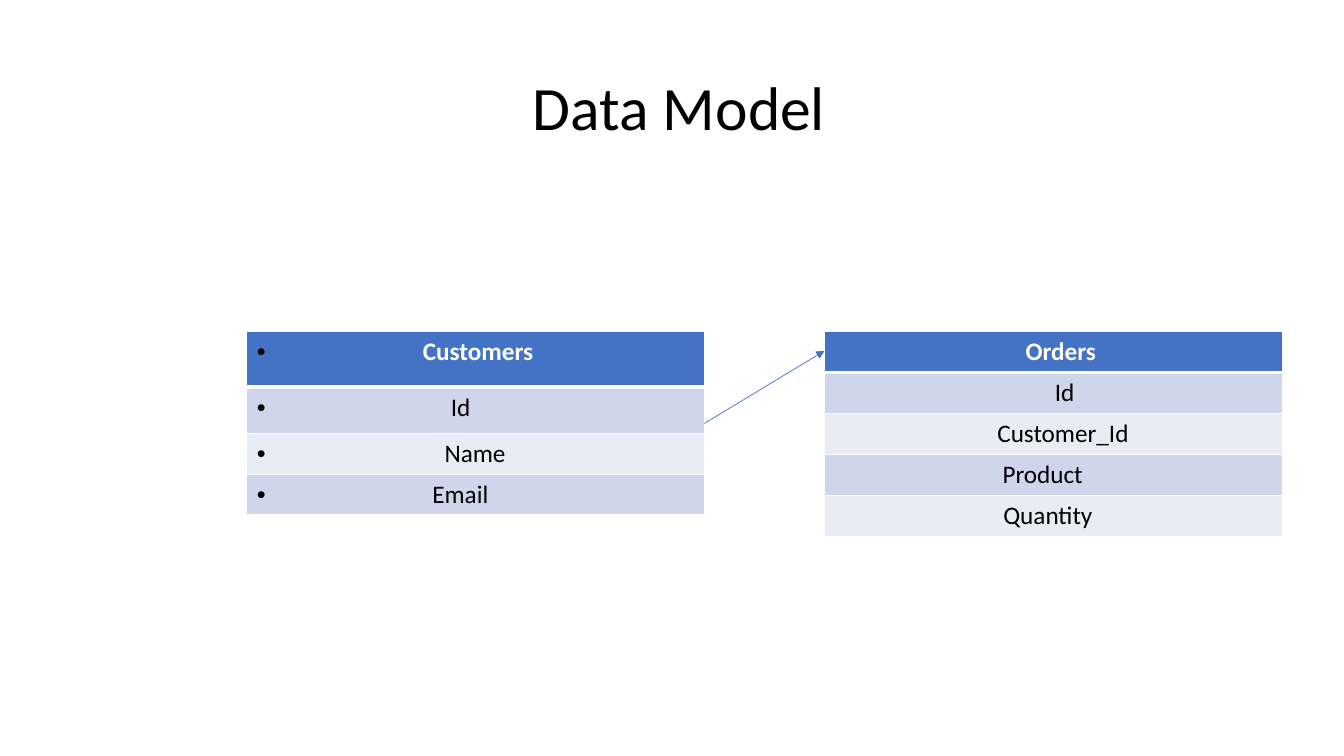
from dataclasses import dataclass

from lxml import etree
from pptx import Presentation
from pptx import util as u
from pptx.dml.color import RGBColor
from pptx.enum import shapes, text
from pptx.oxml.ns import qn

# Each entity: left edge, bullet, then (name, text indent, row height) in cm
TITLE = "Data Model"
ROW = 1.03
ENTITIES = [
    {"left": 6.22, "bullet": "•", "rows": [
        ("Customers", 4.18, 1.4), ("Id", 4.89, 1.16),
        ("Name", 4.73, ROW), ("Email", 4.42, ROW)]},
    {"left": 20.78, "bullet": None, "rows": [
        ("Orders", 4.81, ROW), ("Id", 5.55, ROW), ("Customer_Id", 4.1, ROW),
        ("Product", 4.23, ROW), ("Quantity", 4.25, ROW)]},
]
TABLE_TOP, TABLE_WIDTH = 8.36, 11.53
LINK_START, LINK_END = 10.67, 8.84


@dataclass(frozen=True)
class Theme:
    """Colours and type sizes of the slide."""
    font: str = "Calibri"
    title_size: int = 44
    cell_size: int = 18
    ink: str = "000000"
    paper: str = "FFFFFF"
    accent: str = "4472C4"
    bands: tuple = ("CFD5EA", "E9EBF5")


THEME = Theme()


def add_node(parent, tag, **attributes):
    """Append a DrawingML element and return it."""
    return etree.SubElement(parent, qn(tag), attributes)


def write(frame, words, size, color, bold=False, align=text.PP_ALIGN.LEFT,
          indent=0, bullet=None):
    """Write one formatted paragraph, with a hanging bullet if given."""
    frame.text = words
    paragraph = frame.paragraphs[0]
    paragraph.alignment = align
    font = paragraph.runs[0].font
    font.name, font.size, font.bold = THEME.font, u.Pt(size), bold
    font.color.rgb = RGBColor.from_string(color)
    props = paragraph._p.get_or_add_pPr()
    props.set("marL", str(u.Cm(indent)))
    props.set("indent", str(-u.Cm(indent) if bullet else 0))
    if bullet:
        add_node(add_node(props, "a:buClr"), "a:srgbClr", val=THEME.ink)
        add_node(props, "a:buFont", typeface="Arial")
        add_node(props, "a:buChar", char=bullet)
    return paragraph


def add_borders(cell, **widths):
    """Give a cell paper-coloured borders, widths in points by side."""
    props = cell._tc.get_or_add_tcPr()
    for side, points in widths.items():
        line = add_node(props, f"a:ln{side}", w=str(u.Pt(points)))
        add_node(add_node(line, "a:solidFill"), "a:srgbClr", val=THEME.paper)


def add_entity(slide, left, bullet, rows):
    """Draw an entity as a one-column table with a header row."""
    height = sum(row[2] for row in rows)
    table = slide.shapes.add_table(len(rows), 1, u.Cm(left), u.Cm(TABLE_TOP),
                                   u.Cm(TABLE_WIDTH), u.Cm(height)).table
    for index, (name, indent, row_height) in enumerate(rows):
        header = index == 0
        table.rows[index].height = u.Cm(row_height)
        cell = table.cell(index, 0)
        add_borders(cell, L=1, R=1, T=3 if index == 1 else 1, B=3 if header else 1)
        cell.fill.solid()
        cell.fill.fore_color.rgb = RGBColor.from_string(
            THEME.accent if header else THEME.bands[(index - 1) % 2])
        write(cell.text_frame, name, THEME.cell_size,
              THEME.paper if header else THEME.ink,
              bold=header, indent=indent, bullet=bullet)


def add_link(slide, start, end):
    """Draw an arrow between two points given in cm."""
    link = slide.shapes.add_connector(shapes.MSO_CONNECTOR.STRAIGHT,
                                      *map(u.Cm, start + end))
    link.line.width = u.Pt(0.5)
    link.line.color.rgb = RGBColor.from_string(THEME.accent)
    add_node(link.line._get_or_add_ln(), "a:tailEnd", type="triangle")
    add_node(link._element.spPr, "a:effectLst")


def add_title(slide):
    """Place and format the slide title."""
    title = slide.shapes.title
    title.left, title.top, title.width, title.height = map(
        u.Cm, (2.33, 0.94, 29.21, 3.68))
    title.text_frame.vertical_anchor = text.MSO_ANCHOR.MIDDLE
    heading = write(title.text_frame, TITLE, THEME.title_size, THEME.ink,
                    align=text.PP_ALIGN.CENTER, indent=0.36)
    heading.line_spacing = 0.9


deck = Presentation()
deck.slide_width, deck.slide_height = u.Cm(33.87), u.Cm(19.05)
model = deck.slides.add_slide(deck.slide_layouts.get_by_name("Title Only"))
add_title(model)
for entity in ENTITIES:
    add_entity(model, **entity)
customers, orders = ENTITIES
add_link(model, (customers["left"] + TABLE_WIDTH, LINK_START),
         (orders["left"], LINK_END))
deck.save("out.pptx")
